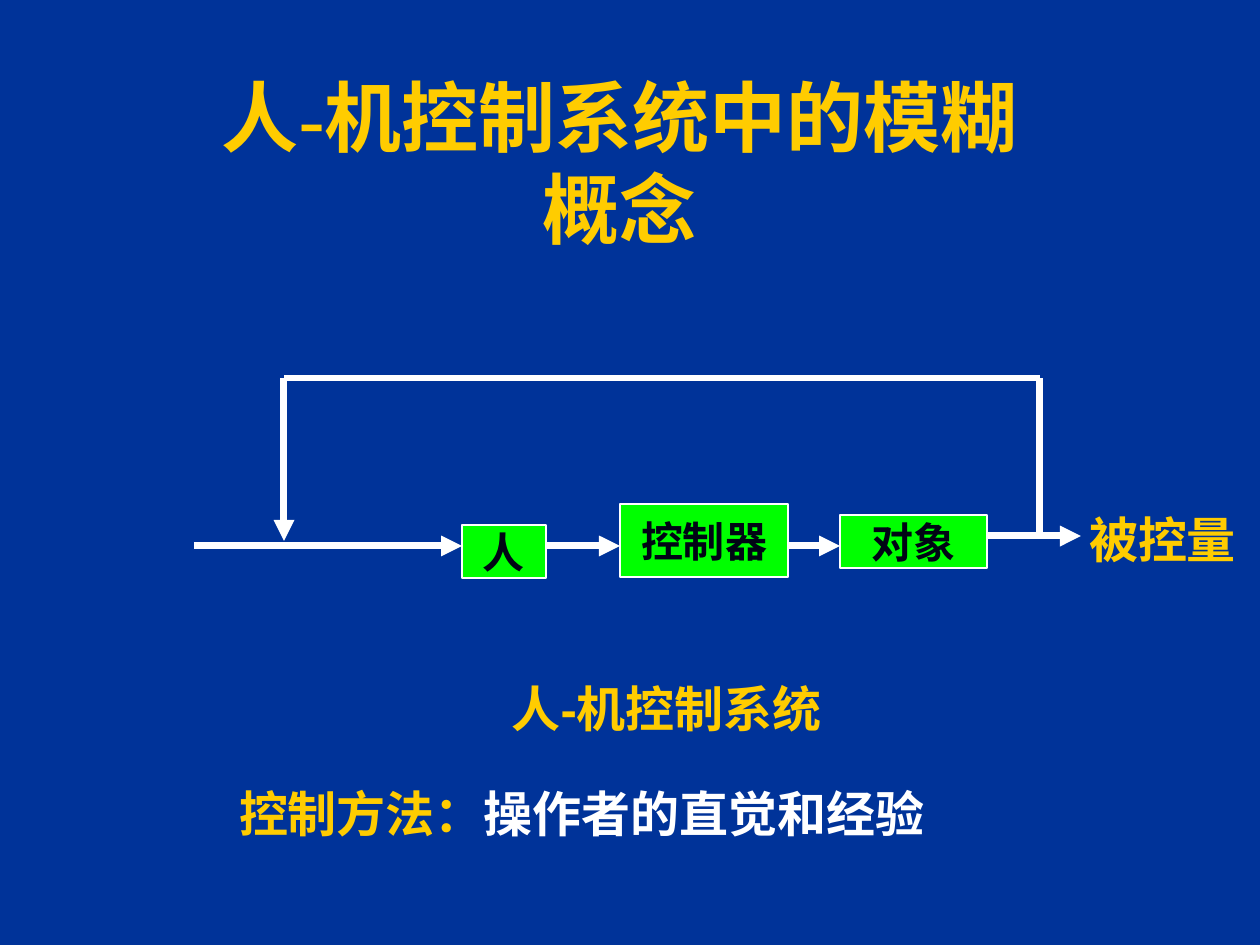
from lxml import etree
from pptx import Presentation
from pptx.dml.color import RGBColor
from pptx.enum.shapes import MSO_CONNECTOR, MSO_SHAPE
from pptx.enum.text import MSO_ANCHOR, PP_ALIGN
from pptx.oxml.ns import qn
from pptx.util import Pt

PX = 914400 / 126  # EMU per pixel
STRAIGHT = MSO_CONNECTOR.STRAIGHT
RECTANGLE = MSO_SHAPE.RECTANGLE
CENTER = PP_ALIGN.CENTER
MIDDLE, TOP = MSO_ANCHOR.MIDDLE, MSO_ANCHOR.TOP
YELLOW, WHITE, GREEN, INK, BLUE = "FFCC00", "FFFFFF", "00FF00", "000514", "003399"


def emu(*lengths):
    return [round(length * PX) for length in lengths]


def write(shape, runs, size, font_name, anchor, wrap=True):
    """Fill a shape with one centred bold paragraph of (text, colour) runs."""
    frame = shape.text_frame
    frame.word_wrap = wrap
    frame.vertical_anchor = anchor
    paragraph = frame.paragraphs[0]
    paragraph.alignment = CENTER
    paragraph.font.size = Pt(size)
    paragraph.font.name = font_name
    paragraph.font.bold = True
    for text, color in runs:
        run = paragraph.add_run()
        run.text = text
        run.font.color.rgb = RGBColor.from_string(color)


presentation = Presentation()
presentation.slide_width, presentation.slide_height = emu(1260, 945)
slide = presentation.slides.add_slide(presentation.slide_layouts[6])
slide.background.fill.solid()
slide.background.fill.fore_color.rgb = RGBColor.from_string(BLUE)

# Title
title = slide.shapes.add_textbox(*emu(179, 116, 882, 91))
write(title, [("人-机控制系统中的模糊概念", YELLOW)], 44, "Times New Roman", MIDDLE)

# Blocks of the control loop
blocks = [
    ("人", 462, 525, 84, 53),
    ("控制器", 620, 504, 168, 73),
    ("对象", 840, 515, 147, 53),
]
for text, *box in blocks:
    block = slide.shapes.add_shape(RECTANGLE, *emu(*box))
    block.shadow.inherit = False
    block.fill.solid()
    block.fill.fore_color.rgb = RGBColor.from_string(GREEN)
    block.line.color.rgb = RGBColor.from_string(WHITE)
    block.line.width = Pt(0.75)
    write(block, [(text, INK)], 24, "Times New Roman", MIDDLE, wrap=False)

# Signal path and feedback loop: start, end, arrowhead
lines = [
    (194, 546, 462, 546, True),
    (546, 546, 620, 546, True),
    (788, 546, 840, 546, True),
    (987, 536, 1081, 536, True),
    (1040, 536, 1040, 378, False),
    (1040, 378, 284, 378, False),
    (284, 378, 284, 541, True),
]
for *ends, has_arrow in lines:
    connector = slide.shapes.add_connector(STRAIGHT, *emu(*ends))
    connector.line.color.rgb = RGBColor.from_string(WHITE)
    connector.line.width = Pt(4)
    if has_arrow:
        outline = connector.line._get_or_add_ln()
        etree.SubElement(outline, qn("a:tailEnd"), type="triangle")
    etree.SubElement(connector._element.spPr, qn("a:effectLst"))

# Output label, diagram caption and control method
labels = [
    ((1037, 503, 251, 72), [("被控量", YELLOW)]),
    ((473, 672, 387, 72), [("人-机控制系统", YELLOW)]),
    ((168, 777, 827, 72), [("控制方法：", YELLOW), ("操作者的直觉和经验", WHITE)]),
]
for box, runs in labels:
    label = slide.shapes.add_textbox(*emu(*box))
    write(label, runs, 28, "Arial", TOP)

presentation.save("out.pptx")
